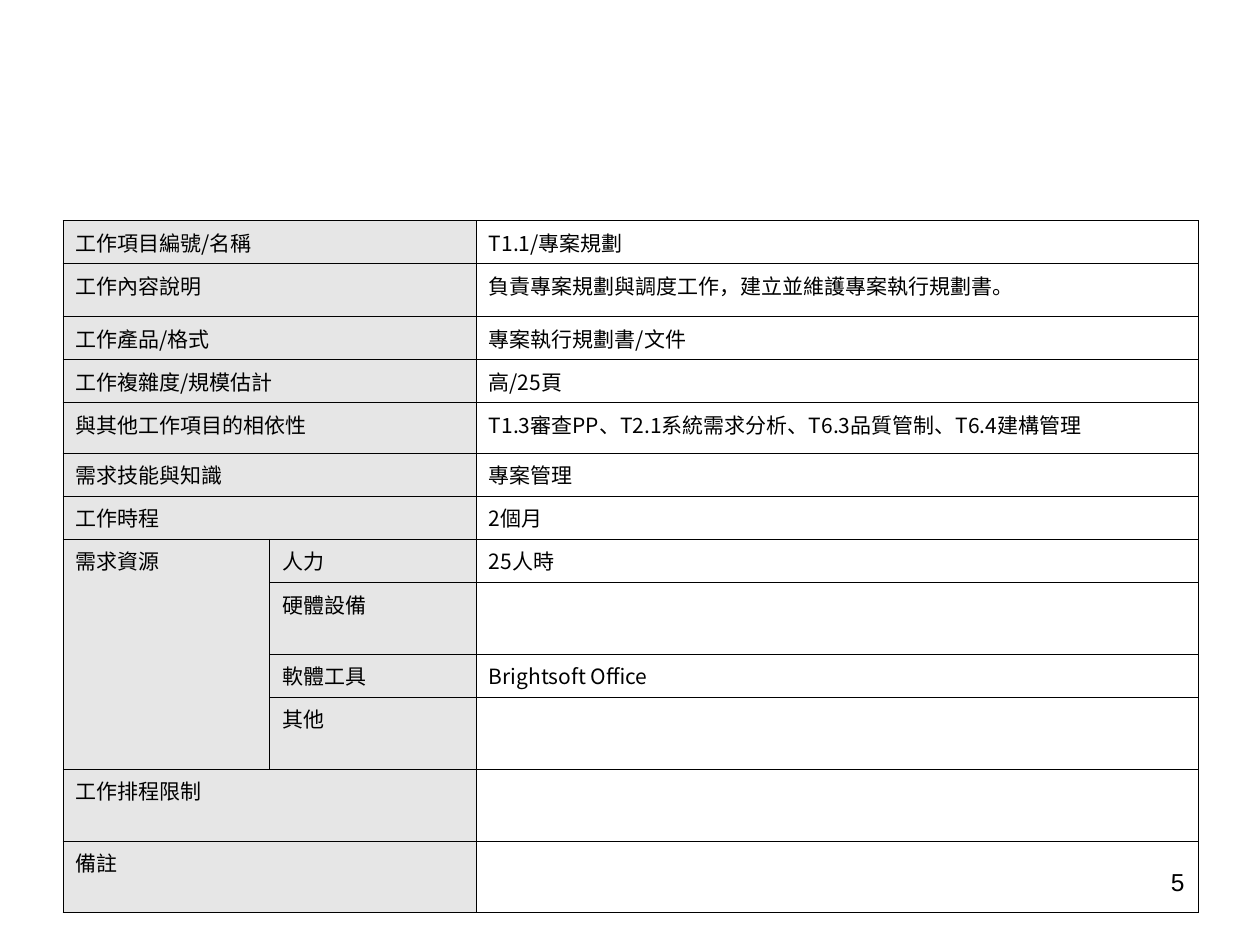
from lxml import etree
from pptx import Presentation
from pptx import util as u
from pptx.dml.color import RGBColor
from pptx.enum import text
from pptx.oxml import ns

BLACK = RGBColor(0x00, 0x00, 0x00)
LABEL_GREY = RGBColor(0xE6, 0xE6, 0xE6)
CJK_FONT = "Noto Sans CJK SC"
NUMBER_FONT = "Arial"

# Row heights in inches
SINGLE, TALL = 0.3, 0.57

# Height, label, sub-label, content
WORK_ITEM = [
    (SINGLE, "工作項目編號/名稱", "", "T1.1/專案規劃"),
    (0.42, "工作內容說明", "", "負責專案規劃與調度工作，建立並維護專案執行規劃書。"),
    (SINGLE, "工作產品/格式", "", "專案執行規劃書/文件"),
    (SINGLE, "工作複雜度/規模估計", "", "高/25頁"),
    (0.4, "與其他工作項目的相依性", "",
     "T1.3審查PP、T2.1系統需求分析、T6.3品質管制、T6.4建構管理"),
    (SINGLE, "需求技能與知識", "", "專案管理"),
    (SINGLE, "工作時程", "", "2個月"),
    (SINGLE, "需求資源", "人力", "25人時"),
    (TALL, "", "硬體設備", ""),
    (SINGLE, "", "軟體工具", "Brightsoft Office"),
    (TALL, "", "其他", ""),
    (TALL, "工作排程限制", "", ""),
    (TALL, "備註", "", ""),
]
COLUMNS = [1.64, 1.64, 5.73]
RESOURCE_ROWS = (7, 10)


class SlideBuilder:
    """Holds the text style and the current slide."""

    def __init__(self, slide):
        self.slide = slide

    def set_text(self, frame, wording, font, size):
        frame.text = wording
        for run in frame.paragraphs[0].runs:
            run.font.name = font
            run.font.size = u.Pt(size)
            run.font.color.rgb = BLACK
            properties = run._r.get_or_add_rPr()
            east_asian = etree.SubElement(properties, ns.qn("a:ea"))
            east_asian.set("typeface", font)

    def border(self, cell):
        properties = cell._tc.get_or_add_tcPr()
        for position, side in enumerate(("lnL", "lnR", "lnT", "lnB")):
            line = etree.Element(ns.qn(f"a:{side}"), w=str(int(u.Pt(0.45))))
            fill = etree.SubElement(line, ns.qn("a:solidFill"))
            etree.SubElement(fill, ns.qn("a:srgbClr"), val=str(BLACK))
            properties.insert(position, line)

    def table(self, left, top, columns, rows):
        heights = [row[0] for row in rows]
        table = self.slide.shapes.add_table(
            len(rows), len(columns), u.Inches(left), u.Inches(top),
            u.Inches(sum(columns)), u.Inches(sum(heights))).table
        table.first_row = table.horz_banding = False
        for column, width in zip(table.columns, columns):
            column.width = u.Inches(width)
        for row, (height, *wordings) in zip(table.rows, rows):
            row.height = u.Inches(height)
            for index, (cell, wording) in enumerate(zip(row.cells, wordings)):
                if index < 2:
                    cell.fill.solid()
                    cell.fill.fore_color.rgb = LABEL_GREY
                else:
                    cell.fill.background()
                self.border(cell)
                if wording:
                    self.set_text(cell.text_frame, wording, CJK_FONT, 12)
        return table

    def page_number(self, left, top, width, height, number):
        box = self.slide.shapes.add_textbox(
            u.Inches(left), u.Inches(top), u.Inches(width), u.Inches(height))
        box.text_frame.word_wrap = True
        self.set_text(box.text_frame, number, NUMBER_FONT, 14)
        box.text_frame.paragraphs[0].alignment = text.PP_ALIGN.RIGHT


def main():
    deck = Presentation()
    deck.slide_width, deck.slide_height = u.Inches(10), u.Inches(7.5)
    builder = SlideBuilder(deck.slides.add_slide(deck.slide_layouts[6]))

    # Work item table
    work_item = builder.table(0.5, 1.75, COLUMNS, WORK_ITEM)

    # Labels span both label columns, except the resource group
    first, last = RESOURCE_ROWS
    work_item.cell(first, 0).merge(work_item.cell(last, 0))
    for row in range(len(WORK_ITEM)):
        if not first <= row <= last:
            work_item.cell(row, 0).merge(work_item.cell(row, 1))

    # Page number
    builder.page_number(7.17, 6.83, 2.33, 0.52, "5")

    deck.save("out.pptx")


if __name__ == "__main__":
    main()
